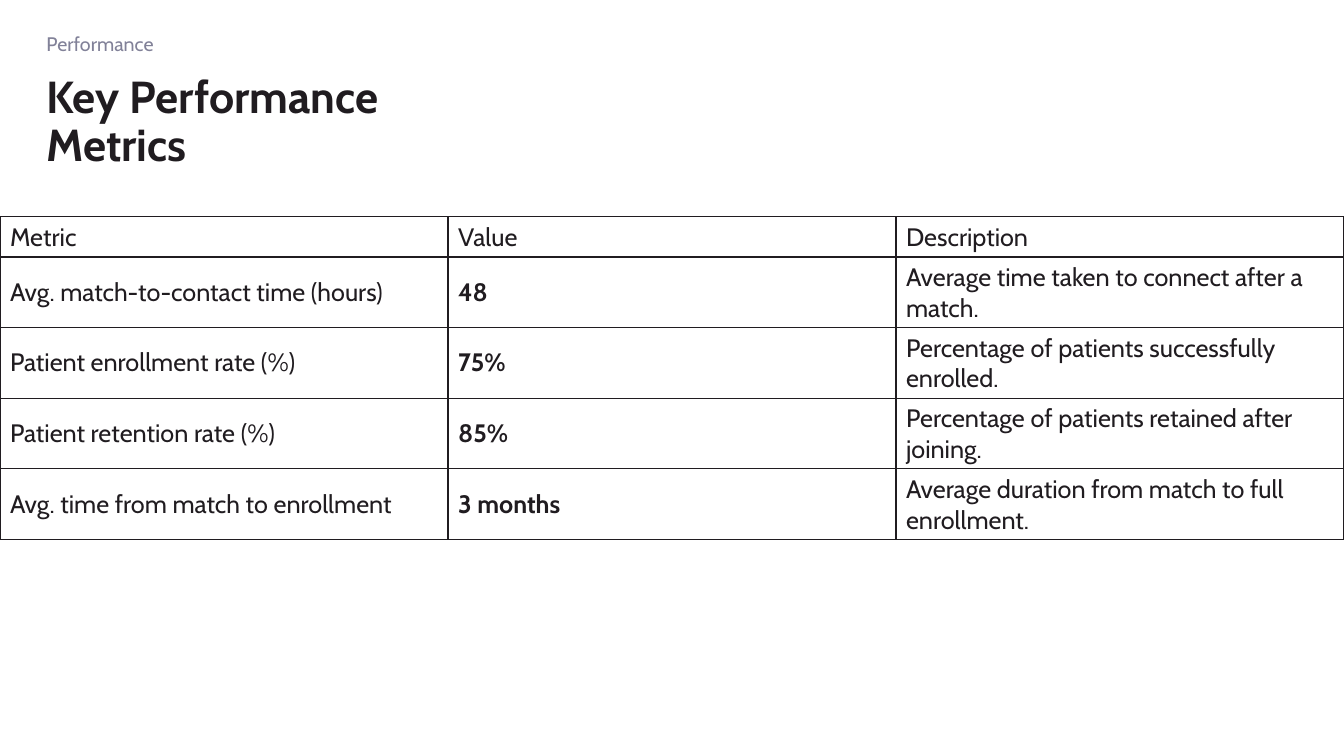
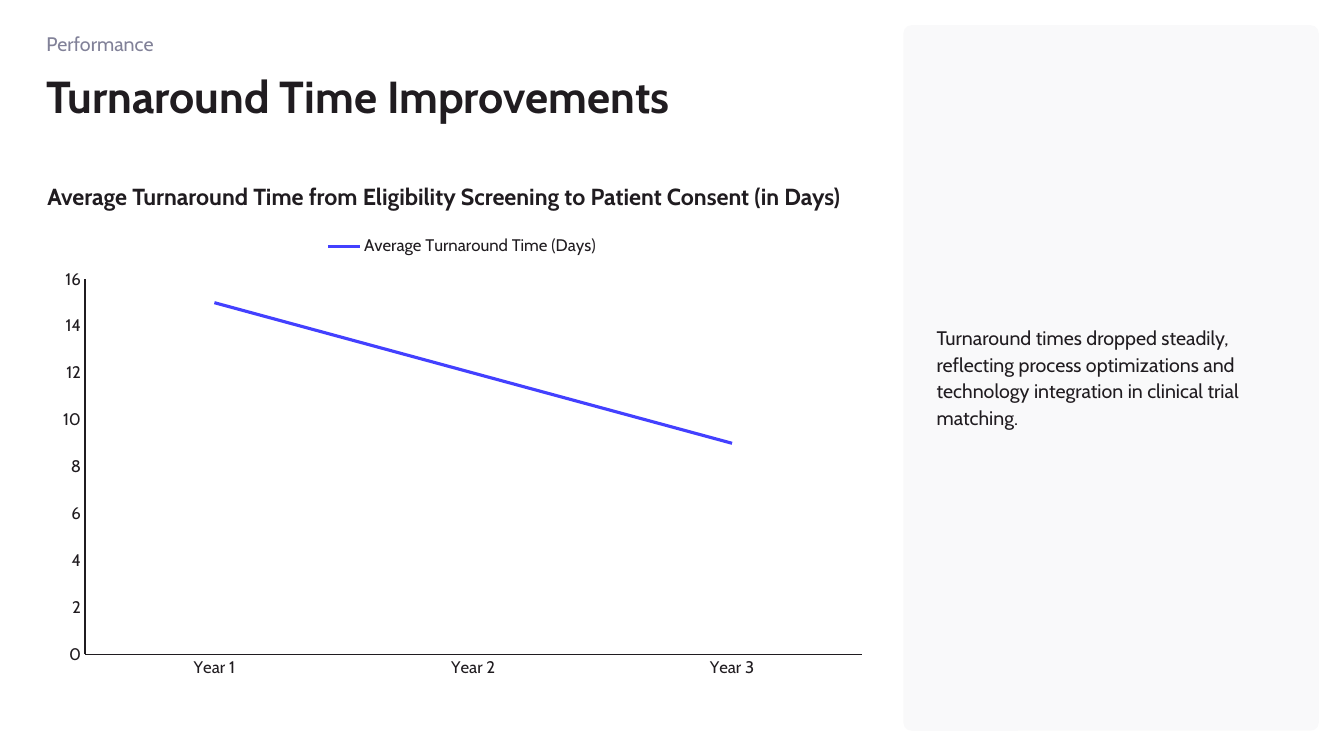
from pptx import Presentation
from pptx.chart.data import CategoryChartData
from pptx.dml.color import RGBColor
from pptx.enum.chart import XL_CHART_TYPE, XL_LEGEND_POSITION, XL_TICK_MARK
from pptx.enum.shapes import MSO_SHAPE
from pptx.enum.text import MSO_ANCHOR
from pptx.oxml import parse_xml
from pptx.oxml.ns import nsdecls
from pptx.util import Inches, Pt

INK = RGBColor(0x20, 0x1C, 0x20)
MUTED = RGBColor(0x81, 0x81, 0x98)
PANEL = RGBColor(0xF9, 0xF9, 0xFA)
BLUE = RGBColor(0x43, 0x40, 0xFF)
FACE = "Cabin"
LEFT, WIDE, NARROW = 0.46, 8.25, 3.92


def style(font, size, color=INK, bold=False):
    font.name, font.size, font.bold = FACE, Pt(size), bold
    font.color.rgb = color


def write(slide, text, box, size, color=INK, bold=False, inset=0,
          spacing=None, before=None, anchor=MSO_ANCHOR.TOP):
    frame = slide.shapes.add_textbox(*map(Inches, box)).text_frame
    frame.word_wrap = True
    frame.margin_left = Inches(inset)
    frame.vertical_anchor = anchor
    para = frame.paragraphs[0]
    para.line_spacing = spacing
    para.space_before = before
    run = para.add_run()
    run.text = text
    style(run.font, size, color, bold)


deck = Presentation()
deck.slide_width, deck.slide_height = Inches(13.33), Inches(7.5)

# Shared heading
slides = []
for title, width, height in [
    ("Key Performance Metrics", NARROW, 3.06),
    ("Turnaround Time Improvements", WIDE, 0.94),
]:
    slide = deck.slides.add_slide(deck.slide_layouts[6])
    write(slide, "Performance", (LEFT, 0.27, NARROW, 0.45), 14, MUTED)
    write(slide, title, (LEFT, 0.69, width, height), 32, bold=True, spacing=0.9)
    slides.append(slide)
metrics, trend = slides

# Metrics table
rows = [
    ("Metric", "Value", "Description"),
    ("Avg. match-to-contact time (hours)", "48",
     "Average time taken to connect after a match."),
    ("Patient enrollment rate (%)", "75%",
     "Percentage of patients successfully enrolled."),
    ("Patient retention rate (%)", "85%",
     "Percentage of patients retained after joining."),
    ("Avg. time from match to enrollment", "3 months",
     "Average duration from match to full enrollment."),
]
table = metrics.shapes.add_table(
    len(rows), 3, 0, Inches(2.15), deck.slide_width, Inches(3.2)).table
table.first_row = table.horz_banding = False
for r, row in enumerate(rows):
    table.rows[r].height = Inches(0.7 if r else 0.4)
    for c, text in enumerate(row):
        cell = table.cell(r, c)
        cell.vertical_anchor = MSO_ANCHOR.MIDDLE
        run = cell.text_frame.paragraphs[0].add_run()
        run.text = text
        style(run.font, 18, bold=r > 0 and c == 1)
        props = cell._tc.get_or_add_tcPr()
        for side in "LRTB":
            props.append(parse_xml(
                f'<a:ln{side} {nsdecls("a")} w="{Pt(1)}"><a:solidFill>'
                f'<a:srgbClr val="{INK}"/></a:solidFill></a:ln{side}>'))
        cell.fill.background()

# Side panel
panel = trend.shapes.add_shape(
    MSO_SHAPE.ROUNDED_RECTANGLE, *map(Inches, (8.96, 0.25, 4.12, 7)))
panel.adjustments[0] = 0.02
panel.shadow.inherit = False
panel.fill.solid()
panel.fill.fore_color.rgb = PANEL
panel.line.fill.background()
write(trend, "Turnaround times dropped steadily, reflecting process "
      "optimizations and technology integration in clinical trial matching.",
      (9.18, 0.46, 3.69, 6.54), 14, inset=0.11, spacing=1.14,
      before=Pt(12), anchor=MSO_ANCHOR.MIDDLE)

# Turnaround chart
write(trend, "Average Turnaround Time from Eligibility Screening to "
      "Patient Consent (in Days)", (LEFT, 1.62, WIDE, 0.6), 16.6,
      bold=True, inset=0.01, spacing=1.5, before=Pt(12))
data = CategoryChartData()
data.categories = ["Year 1", "Year 2", "Year 3"]
data.add_series("Average Turnaround Time (Days)", (15, 12, 9))
chart = trend.shapes.add_chart(
    XL_CHART_TYPE.LINE, *map(Inches, (LEFT, 2.23, WIDE, 4.59)), data).chart
style(chart.font, 10)
chart.has_title = False
chart.has_legend = True
chart.legend.position = XL_LEGEND_POSITION.TOP
chart.legend.include_in_layout = False
style(chart.legend.font, 12)
for axis in (chart.category_axis, chart.value_axis):
    axis.has_major_gridlines = False
    axis.major_tick_mark = axis.minor_tick_mark = XL_TICK_MARK.NONE
    axis.format.line.color.rgb = INK
    axis.format.line.width = Pt(0.75)
    style(axis.tick_labels.font, 12)
scale = chart.value_axis
scale.minimum_scale, scale.maximum_scale, scale.major_unit = 0, 16, 2
line = chart.plots[0].series[0]
line.smooth = False
line.format.line.color.rgb = BLUE
line.format.line.width = Pt(2.25)

deck.save("out.pptx")
